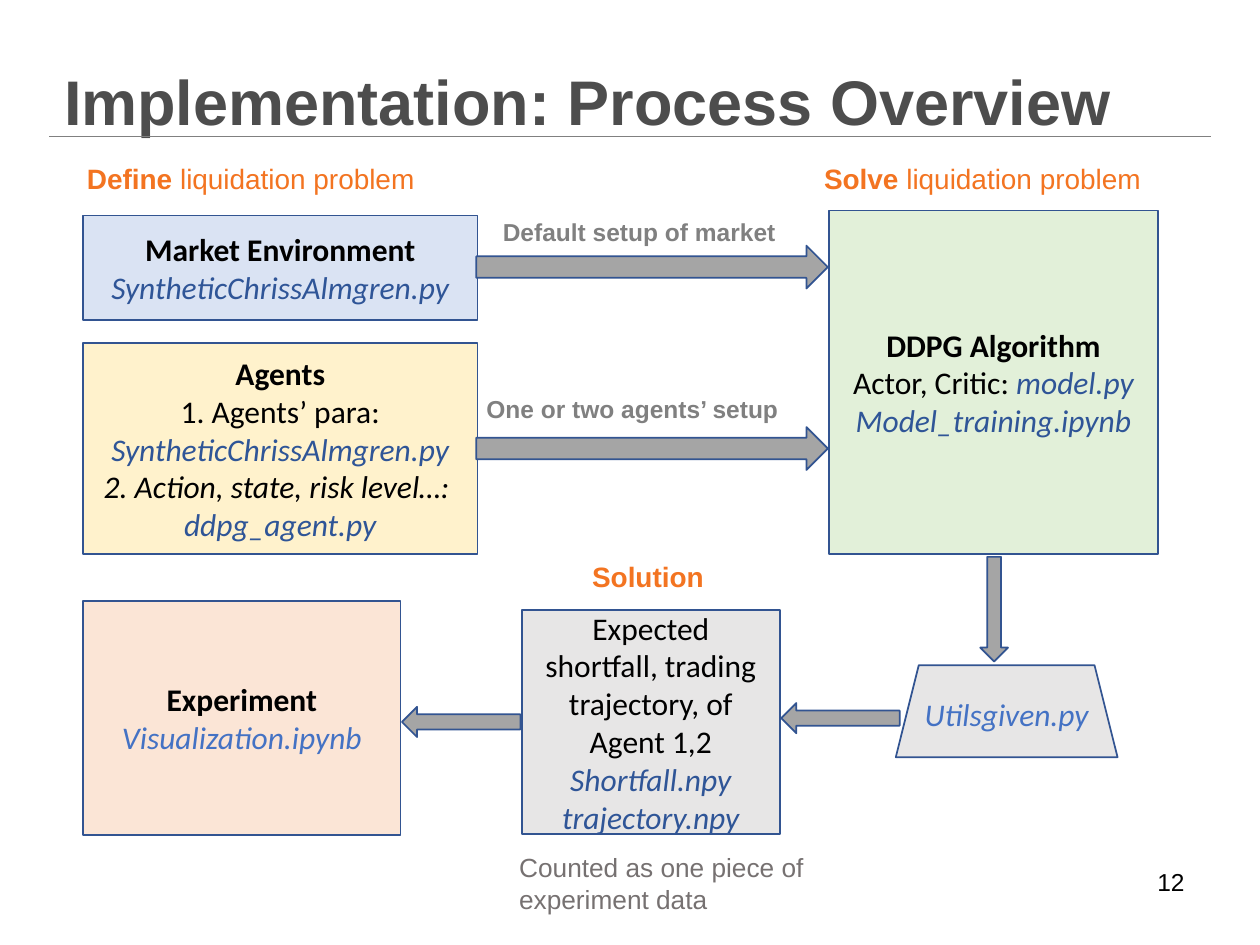
from lxml.etree import SubElement
from pptx import Presentation
from pptx.dml.color import RGBColor
from pptx.enum.shapes import MSO_CONNECTOR, MSO_SHAPE as SH
from pptx.enum.text import MSO_ANCHOR as ANCHOR, PP_ALIGN as AL
from pptx.oxml.ns import qn
from pptx.util import Pt

PX = 9144  # 100 px to the inch
rgb = RGBColor.from_string
BLACK, NAVY, BLUE = "000000", "2F5597", "4472C4"
ORANGE, GRAY = "F37421", "808080"

prs = Presentation()
prs.slide_width, prs.slide_height = 1000 * PX, 750 * PX
s = prs.slides.add_slide(prs.slide_layouts[6])


def add_text(tf, paragraphs, size, font, align=AL.LEFT):
    """Each paragraph is a list of runs: (text, colour, style letters b and i)."""
    tf.word_wrap = True
    for n, runs in enumerate(paragraphs):
        p = tf.add_paragraph() if n else tf.paragraphs[0]
        p.alignment = align
        for text, color, style in runs:
            r = p.add_run()
            r.text = text
            r.font.size, r.font.name = Pt(size), font
            r.font.color.rgb = rgb(color)
            r.font.bold, r.font.italic = "b" in style, "i" in style


def add_shape(kind, box, fill):
    sp = s.shapes.add_shape(kind, *(v * PX for v in box))
    sp.shadow.inherit = False
    sp.fill.solid()
    sp.fill.fore_color.rgb = rgb(fill)
    sp.line.color.rgb = rgb("325491")
    sp.line.width = Pt(1)
    return sp


# Title and rule
tf = s.shapes.add_textbox(41 * PX, 17 * PX, 905 * PX, 125 * PX).text_frame
tf.vertical_anchor = ANCHOR.MIDDLE
add_text(tf, [[("Implementation: Process Overview", "4D4D4D", "b")]], 36, "Arial")
rule = s.shapes.add_connector(MSO_CONNECTOR.STRAIGHT, 39 * PX, 108 * PX, 961 * PX, 108 * PX)
rule.line.color.rgb = rgb(GRAY)
rule.line.width = Pt(0.5)
SubElement(rule._element.spPr, qn("a:effectLst"))

# Process boxes
boxes = [
    (SH.RECTANGLE, (66, 171, 313, 83), "DAE3F3", [
        [("Market Environment", BLACK, "b")],
        [("SyntheticChrissAlmgren.py", NAVY, "i")]]),
    (SH.RECTANGLE, (66, 272, 313, 168), "FFF2CC", [
        [("Agents", BLACK, "b")],
        [("1. Agents’ para:", BLACK, "")],
        [("SyntheticChrissAlmgren.py", NAVY, "i")],
        [("2. Action, state, risk level…: ", BLACK, "i")],
        [("ddpg_agent.py", NAVY, "i")]]),
    (SH.RECTANGLE, (658, 167, 261, 273), "E2F0D9", [
        [("DDPG Algorithm", BLACK, "b")],
        [("Actor, Critic: ", BLACK, ""), ("model.py", NAVY, "i")],
        [("Model_training.ipynb", NAVY, "i")]]),
    (SH.TRAPEZOID, (711, 528, 176, 73), "E7E6E6", [
        [("Utilsgiven.py", BLUE, "i")]]),
    (SH.RECTANGLE, (414, 484, 205, 178), "E7E6E6", [
        [("Expected shortfall, trading trajectory, of Agent 1,2", BLACK, "")],
        [("Shortfall.npy", NAVY, "i")],
        [("trajectory.npy", NAVY, "i")]]),
    (SH.RECTANGLE, (66, 477, 252, 186), "FBE5D6", [
        [("Experiment", BLACK, "b")],
        [("Visualization.ipynb", BLUE, "i")]]),
]
for kind, box, fill, paragraphs in boxes:
    tf = add_shape(kind, box, fill).text_frame
    tf.vertical_anchor = ANCHOR.MIDDLE
    add_text(tf, paragraphs, 18, "Calibri", AL.CENTER)

# Block arrows; the turned ones point left
arrows = [
    (SH.RIGHT_ARROW, (378, 195, 279, 34), 0),
    (SH.RIGHT_ARROW, (378, 339, 279, 34), 0),
    (SH.DOWN_ARROW, (778, 442, 22, 83), 0),
    (SH.DOWN_ARROW, (655, 523, 24, 94), 90),
    (SH.DOWN_ARROW, (354, 526, 24, 94), 90),
]
for kind, box, turn in arrows:
    add_shape(kind, box, "A5A5A5").rotation = turn

# Labels, indented by half an inch
labels = [
    ((9, 123, 411, 67), 16, [("Define ", ORANGE, "b"), ("liquidation problem", ORANGE, "")]),
    ((594, 123, 378, 67), 16, [("Solve ", ORANGE, "b"), ("liquidation problem", ORANGE, "")]),
    ((410, 439, 186, 67), 16, [("Solution", ORANGE, "b")]),
    ((339, 167, 411, 64), 14, [("Default setup of market", GRAY, "b")]),
    ((326, 308, 411, 34), 14, [("One or two agents’ setup", GRAY, "b")]),
    ((352, 671, 315, 91), 15, [("Counted as one piece of experiment data", "767171", "")]),
]
for box, size, runs in labels:
    tf = s.shapes.add_textbox(*(v * PX for v in box)).text_frame
    tf.margin_left = 60 * PX
    add_text(tf, [runs], size, "Arial")

# Page number
tf = s.shapes.add_textbox(717 * PX, 683 * PX, 233 * PX, 52 * PX).text_frame
add_text(tf, [[("12", BLACK, "")]], 14, "Arial", AL.RIGHT)

prs.save("out.pptx")
